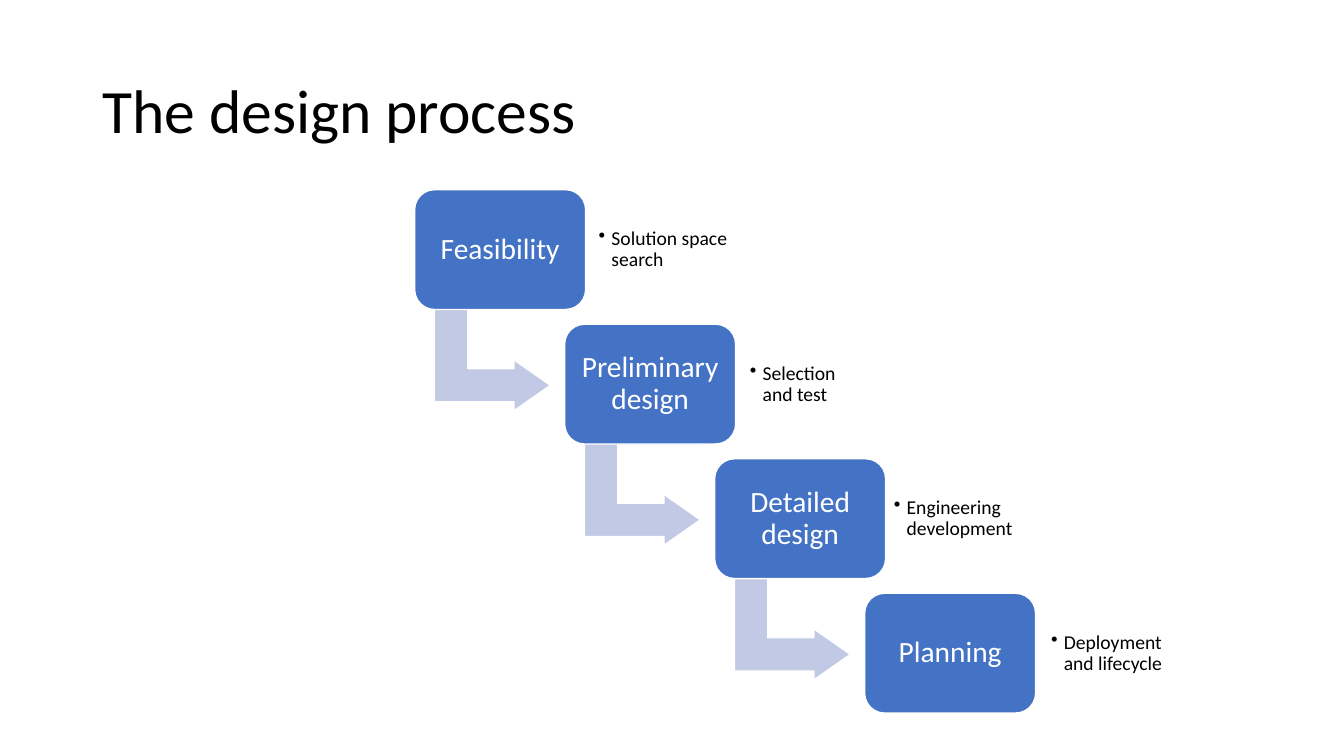
from dataclasses import dataclass

from lxml import etree
from pptx import Presentation
from pptx.dml.color import RGBColor
from pptx.enum.shapes import MSO_SHAPE
from pptx.enum.text import MSO_ANCHOR, PP_ALIGN
from pptx.oxml.ns import qn
from pptx.util import Cm, Pt

ROUND_RECT = MSO_SHAPE.ROUNDED_RECTANGLE
BENT_ARROW = MSO_SHAPE.BENT_UP_ARROW
MIDDLE = MSO_ANCHOR.MIDDLE
LEFT, CENTER = PP_ALIGN.LEFT, PP_ALIGN.CENTER
TITLE_ONLY = 5


@dataclass(frozen=True)
class Theme:
    font: str = "Calibri"
    text: str = "000000"
    light: str = "FFFFFF"
    box: str = "4472C4"
    arrow: str = "C1C9E4"
    title_size: int = 44
    box_size: int = 21
    note_size: int = 14
    spacing: float = 0.9


class Deck:
    def __init__(self, theme):
        self.theme = theme
        self.prs = Presentation()
        self.prs.slide_width, self.prs.slide_height = Cm(33.87), Cm(19.05)
        self.slide = None

    def add_slide(self):
        self.slide = self.prs.slides.add_slide(self.prs.slide_layouts[TITLE_ONLY])

    def set_text(self, sp, text, size, color, align, inset):
        tf = sp.text_frame
        tf.text = text
        tf.word_wrap = True
        tf.vertical_anchor = MIDDLE
        tf.margin_left = tf.margin_right = Cm(inset)
        tf.margin_top = tf.margin_bottom = Cm(inset)
        p = tf.paragraphs[0]
        p.alignment = align
        p.line_spacing = self.theme.spacing
        font = p.runs[0].font
        font.name, font.size = self.theme.font, Pt(size)
        font.color.rgb = RGBColor.from_string(color)
        return p

    def title(self, text, *bounds):
        sp = self.slide.shapes.title
        sp.left, sp.top, sp.width, sp.height = map(Cm, bounds)
        self.set_text(sp, text, self.theme.title_size, self.theme.text, LEFT, 0.25)

    def shape(self, kind, fill, adjustments, *bounds):
        sp = self.slide.shapes.add_shape(kind, *map(Cm, bounds))
        sp.shadow.inherit = False
        sp.fill.solid()
        sp.fill.fore_color.rgb = RGBColor.from_string(fill)
        sp.line.color.rgb = RGBColor.from_string(self.theme.light)
        sp.line.width = Pt(1)
        for i, value in enumerate(adjustments):
            sp.adjustments[i] = value
        return sp

    def box(self, text, *bounds):
        sp = self.shape(ROUND_RECT, self.theme.box, [0.167], *bounds)
        self.set_text(sp, text, self.theme.box_size, self.theme.light, CENTER, 0.23)

    def arrow(self, *bounds):
        sp = self.shape(BENT_ARROW, self.theme.arrow, [0.328, 0.25, 0.358], *bounds)
        sp.rotation = 90

    def bullet(self, text, *bounds):
        sp = self.slide.shapes.add_textbox(*map(Cm, bounds))
        p = self.set_text(sp, text, self.theme.note_size, self.theme.text, LEFT, 0.15)
        p.level = 1
        pPr = p._p.get_or_add_pPr()
        pPr.set("marL", str(Cm(0.32)))
        pPr.set("indent", str(-Cm(0.32)))
        etree.SubElement(pPr, qn("a:buChar")).set("char", "•")


STAGES = [
    ("Feasibility", "Solution space search", 14.94, 3.99),
    ("Preliminary design", "Selection and test", 18.75, 3.12),
    ("Detailed design", "Engineering development", 22.38, 3.76),
    ("Planning", "Deployment and lifecycle", 26.34, 3.81),
]
START_X, START_Y = 10.45, 4.78
STEP_X, STEP_Y = 3.78, 3.39

deck = Deck(Theme())
deck.add_slide()
deck.title("The design process", 2.33, 1.01, 29.21, 3.68)
for i, (stage, note, note_x, note_w) in enumerate(STAGES):
    x, y = START_X + i * STEP_X, START_Y + i * STEP_Y
    if i < len(STAGES) - 1:
        deck.arrow(x + 0.68, y + 2.83, 2.56, 2.92)
    deck.box(stage, x, y, 4.31, 3.02)
    deck.bullet(note, note_x, y + 0.3, note_w, 2.44)
deck.prs.save("out.pptx")
